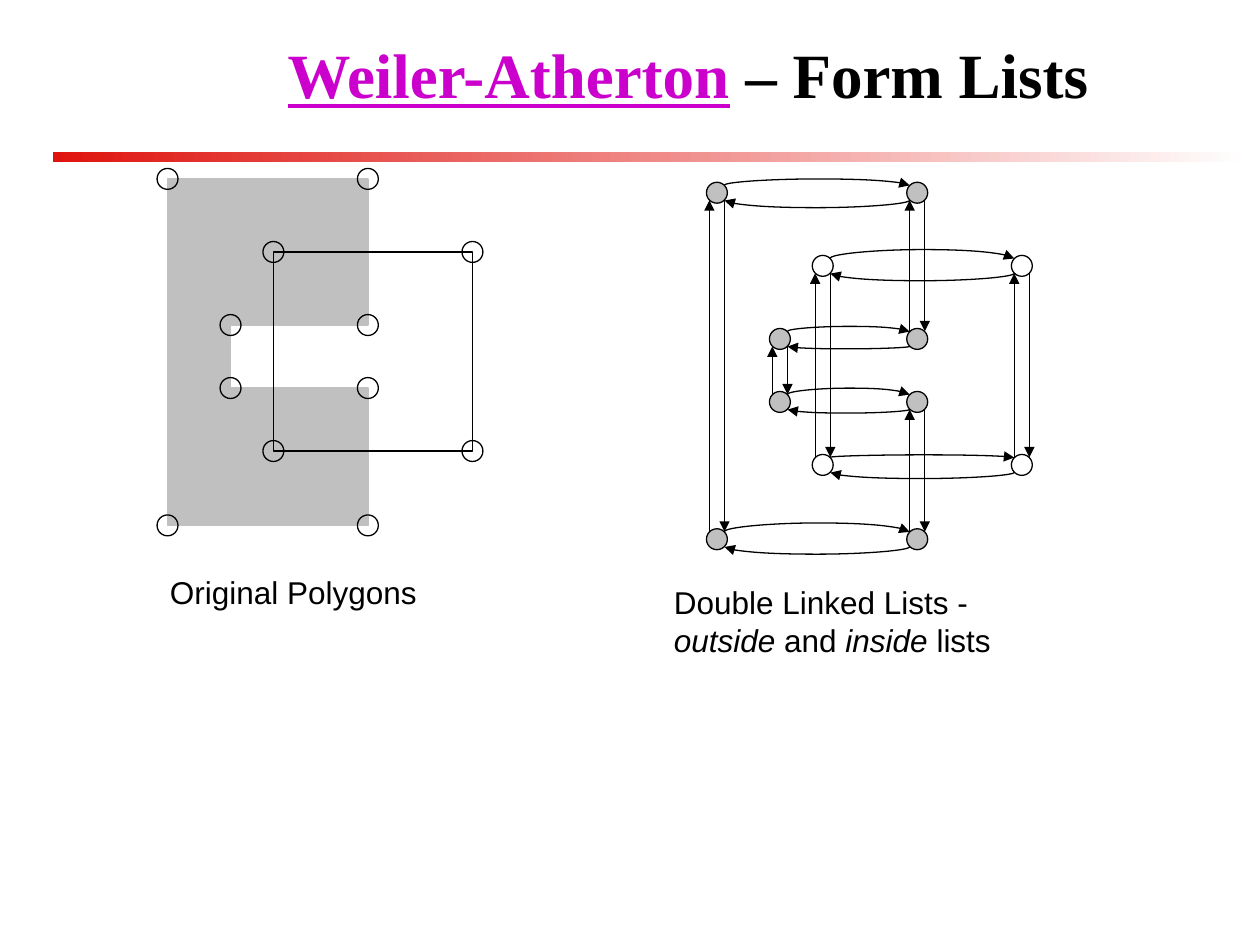
from dataclasses import dataclass

from lxml.etree import SubElement
from pptx import Presentation
from pptx.dml.color import RGBColor
from pptx.enum.shapes import MSO_CONNECTOR, MSO_SHAPE
from pptx.enum.text import MSO_ANCHOR, PP_ALIGN
from pptx.oxml.ns import qn
from pptx.util import Inches, Pt


@dataclass(frozen=True)
class Theme:
    black: RGBColor = RGBColor(0x00, 0x00, 0x00)
    white: RGBColor = RGBColor(0xFF, 0xFF, 0xFF)
    gray: RGBColor = RGBColor(0xC0, 0xC0, 0xC0)
    red: RGBColor = RGBColor(0xDF, 0x14, 0x0F)
    link: RGBColor = RGBColor(0xCC, 0x00, 0xCC)
    title_font: str = "Times New Roman"
    body_font: str = "Arial"
    title_size: Pt = Pt(36)
    body_size: Pt = Pt(18)
    line: Pt = Pt(0.75)


theme = Theme()
prs = Presentation()
prs.slide_width, prs.slide_height = Inches(10), Inches(7.5)
slide = prs.slides.add_slide(prs.slide_layouts[6])


def add_outline(preset, left, top, width, height, fill=None, line=theme.black):
    shape = slide.shapes.add_shape(
        preset, Inches(left), Inches(top), Inches(width), Inches(height))
    shape.shadow.inherit = False
    if fill is None:
        shape.fill.background()
    else:
        shape.fill.solid()
        shape.fill.fore_color.rgb = fill
    shape.line.color.rgb = line
    shape.line.width = theme.line
    return shape


def add_arrow(kind, x1, y1, x2, y2):
    arrow = slide.shapes.add_connector(
        kind, Inches(x1), Inches(y1), Inches(x2), Inches(y2))
    arrow.line.color.rgb = theme.black
    arrow.line.width = theme.line
    properties = arrow._element.spPr
    SubElement(properties.find(qn("a:ln")), qn("a:tailEnd"), type="triangle")
    SubElement(properties, qn("a:effectLst"))
    return properties


# Title and fading rule
rule = add_outline(MSO_SHAPE.RECTANGLE, 0.42, 1.21, 9.5, 0.08)
rule.line.fill.background()
rule.fill.gradient()
rule.fill.gradient_angle = 0
for stop, position, color in zip(
        rule.fill.gradient_stops, (0, 1), (theme.red, theme.white)):
    stop.position = position
    stop.color.rgb = color

title = slide.shapes.add_textbox(
    Inches(1.17), Inches(0.17), Inches(8.58), Inches(0.83)).text_frame
title.word_wrap = True
title.vertical_anchor = MSO_ANCHOR.MIDDLE
title.paragraphs[0].alignment = PP_ALIGN.CENTER
for text, color, underlined in (("Weiler-Atherton", theme.link, True),
                                (" – Form Lists", theme.black, False)):
    run = title.paragraphs[0].add_run()
    run.text = text
    run.font.name = theme.title_font
    run.font.size = theme.title_size
    run.font.bold = True
    run.font.underline = underlined
    run.font.color.rgb = color

# Vertex coordinates shared by both diagrams
left, notch, right = 1.33, 1.83, 2.92
top, notch_top, notch_bottom, bottom = 1.42, 2.58, 3.08, 4.17
window_left, window_right, window_top, window_bottom = 2.17, 3.75, 2, 3.58
subject = [(left, top), (right, top), (left, bottom), (right, bottom),
           (right, notch_bottom), (notch, notch_bottom),
           (notch, notch_top), (right, notch_top)]
window = [(x, y) for x in (window_left, window_right)
          for y in (window_top, window_bottom)]
radius = 0.083

# Original polygons: notched gray subject under the open window
for y1, y2, edge in ((top, notch_top, right),
                     (notch_top, notch_bottom, notch),
                     (notch_bottom, bottom, right)):
    add_outline(MSO_SHAPE.RECTANGLE, left, y1, edge - left, y2 - y1,
                theme.gray, theme.gray)
add_outline(MSO_SHAPE.RECTANGLE, window_left, window_top,
            window_right - window_left, window_bottom - window_top)

# Vertices of both diagrams; the lists sit at a fixed offset from the polygons
list_dx, list_dy = 4.36, 0.11
for dx, dy, subject_fill in ((0, 0, None), (list_dx, list_dy, theme.gray)):
    for vertices, fill in ((subject, subject_fill), (window, None)):
        for x, y in vertices:
            add_outline(MSO_SHAPE.OVAL, x + dx - radius, y + dy - radius,
                        2 * radius, 2 * radius, fill)

# Vertical links: up on the left side, down on the right side
gap = 0.06
for x, y1, y2 in ((left, top, bottom), (right, top, notch_top),
                  (notch, notch_top, notch_bottom),
                  (right, notch_bottom, bottom),
                  (window_left, window_top, window_bottom),
                  (window_right, window_top, window_bottom)):
    x += list_dx
    start, end = y1 + list_dy + gap, y2 + list_dy - gap
    add_arrow(MSO_CONNECTOR.STRAIGHT, x - gap, end, x - gap, start)
    add_arrow(MSO_CONNECTOR.STRAIGHT, x + gap, start, x + gap, end)

# Horizontal links: a thin upright curve turned by 90 degrees;
# its adjustment is the bow as a share of the thickness
thickness = 0.002
for x1, x2, y, bow_up, bow_down in (
        (left, right, top, 0.05, 0.06),
        (notch, right, notch_top, 0.04, 0.02),
        (notch, right, notch_bottom, 0.05, 0.03),
        (left, right, bottom, 0.07, 0.06),
        (window_left, window_right, window_top, 0.07, 0.06),
        (window_left, window_right, window_bottom, 0.02, 0.05)):
    center = (x1 + x2) / 2 + list_dx
    half = (x2 - x1) / 2 - gap
    for side, bow in ((-1, bow_up), (1, bow_down)):
        middle = y + list_dy + side * gap
        properties = add_arrow(
            MSO_CONNECTOR.CURVE, center - thickness / 2, middle - side * half,
            center + thickness / 2, middle + side * half)
        properties.find(qn("a:xfrm")).set("rot", str(90 * 60000))
        geometry = properties.find(qn("a:prstGeom"))
        adjustments = geometry.find(qn("a:avLst"))
        if adjustments is None:
            adjustments = SubElement(geometry, qn("a:avLst"))
        SubElement(adjustments, qn("a:gd"), name="adj1",
                   fmla=f"val {round(side * bow / thickness * 100000)}")

# Captions
captions = (
    (1.25, 4.5, 2.64, 0.5, [[("Original Polygons", False)]]),
    (5.25, 4.58, 3.23, 0.9, [
        [("Double Linked Lists -", False)],
        [("outside", True), (" and ", False), ("inside", True),
         (" lists", False)]]),
)
for x, y, width, height, lines in captions:
    caption = slide.shapes.add_textbox(
        Inches(x), Inches(y), Inches(width), Inches(height)).text_frame
    caption.word_wrap = True
    for index, pieces in enumerate(lines):
        paragraph = caption.add_paragraph() if index else caption.paragraphs[0]
        for text, italic in pieces:
            run = paragraph.add_run()
            run.text = text
            run.font.name = theme.body_font
            run.font.size = theme.body_size
            run.font.italic = italic
            run.font.color.rgb = theme.black

prs.save("out.pptx")
